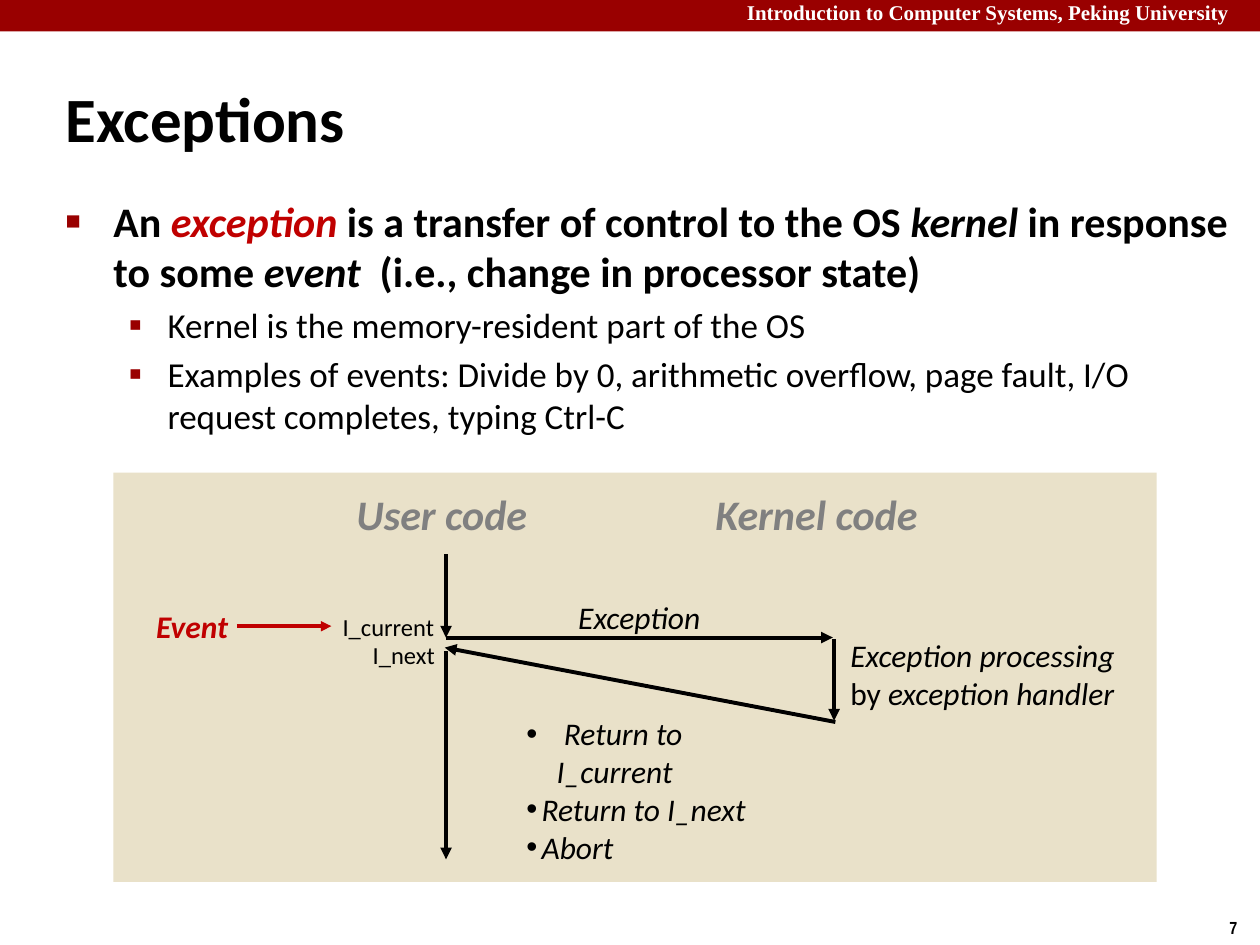
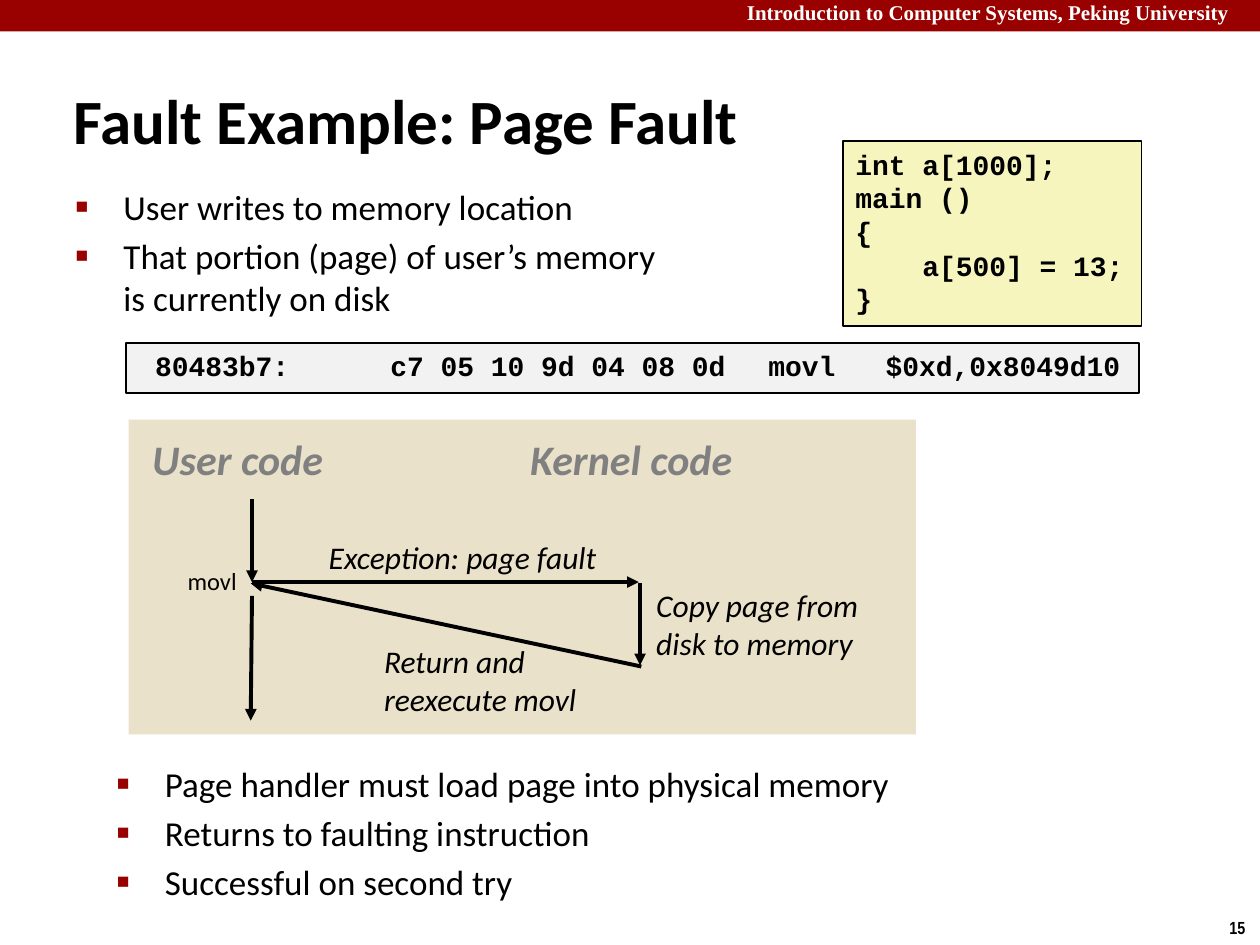
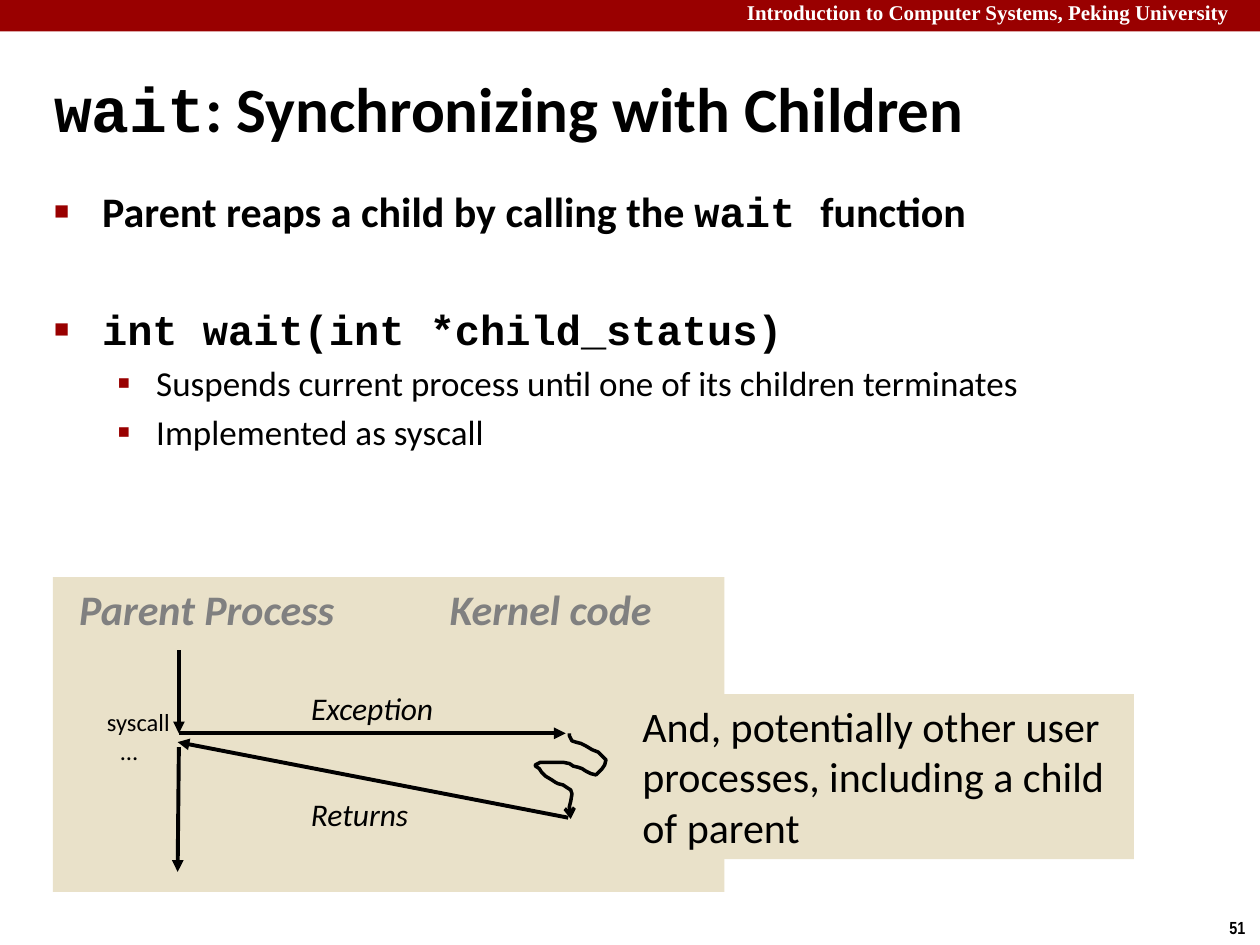
from collections import namedtuple

from lxml.etree import SubElement
from pptx import Presentation
from pptx.dml.color import RGBColor
from pptx.enum.shapes import MSO_CONNECTOR as LINK, MSO_SHAPE as SHAPE
from pptx.enum.text import MSO_ANCHOR as ANCHOR, MSO_AUTO_SIZE as FIT, PP_ALIGN as ALIGN
from pptx.oxml.ns import qn
from pptx.util import Inches, Pt

BLACK = RGBColor(0, 0, 0)
WHITE = RGBColor(255, 255, 255)
MAROON = RGBColor(0x99, 0, 0)
RED = RGBColor(0xC0, 0, 0)
GRAY = RGBColor(0x80, 0x80, 0x80)
SAND = RGBColor(0xE9, 0xE1, 0xC9)
CREAM = RGBColor(0xF6, 0xF5, 0xBD)
PALE = RGBColor(0xF2, 0xF2, 0xF2)

SANS, MONO = "Calibri", "Courier New"
COURSE = "Introduction to Computer Systems, Peking University"
SLANT = {"italic": True}
CODE = {"face": MONO}
HEAD = {"size": 24, "color": GRAY, "bold": True, "italic": True}
NOTE = {"size": 18, "italic": True}
STEP = {"size": 14}
LISTING = {"size": 16, "face": MONO, "bold": True}

Box = namedtuple("Box", "x y w h")
Mark = namedtuple("Mark", "char scale left hang")
MARKS = (Mark("■", 60, 0.38, 0.38), Mark("▪", 110, 0.81, 0.31))


def inches(*values):
    return [Inches(v) for v in values]


def add_runs(para, runs, size=18, color=BLACK, face=SANS, bold=False, italic=False):
    base = {"size": size, "color": color, "face": face, "bold": bold, "italic": italic}
    para.alignment = ALIGN.LEFT
    for item in [runs] if isinstance(runs, str) else runs:
        words, extra = (item, {}) if isinstance(item, str) else item
        look = {**base, **extra}
        for i, part in enumerate(words.split("\n")):
            if i:
                para.add_line_break()
            run = para.add_run()
            run.text = part
            font = run.font
            font.size, font.name = Pt(look["size"]), look["face"]
            font.bold, font.italic = look["bold"], look["italic"]
            font.color.rgb = look["color"]


def fill_text(frame, paras, wrap=True, fit=FIT.SHAPE_TO_FIT_TEXT, **look):
    frame.word_wrap = wrap
    frame.auto_size = fit
    frame.vertical_anchor = ANCHOR.TOP
    for i, runs in enumerate(paras):
        para = frame.add_paragraph() if i else frame.paragraphs[0]
        add_runs(para, runs, **look)


def indent(para, left, hang):
    props = para._p.get_or_add_pPr()
    props.set("marL", str(Inches(left)))
    props.set("indent", str(-Inches(hang)))
    return props


def add_mark(para, mark, color=None):
    props = indent(para, mark.left, mark.hang)
    if color is not None:
        SubElement(SubElement(props, qn("a:buClr")), qn("a:srgbClr")).set("val", str(color))
    SubElement(props, qn("a:buSzPct")).set("val", str(mark.scale * 1000))
    SubElement(props, qn("a:buFont")).set("typeface", "Arial")
    SubElement(props, qn("a:buChar")).set("char", mark.char)


def fill_list(frame, items):
    frame.word_wrap = True
    frame.auto_size = FIT.NONE
    frame.vertical_anchor = ANCHOR.TOP
    for i, (level, size, gap, bold, runs) in enumerate(items):
        para = frame.add_paragraph() if i else frame.paragraphs[0]
        para.level = level
        add_mark(para, MARKS[level], MAROON)
        para.space_before = Pt(gap if i else 0)
        add_runs(para, runs, size=size, bold=bold)


def main_item(runs, gap=4.8):
    return 0, 24, gap, True, runs


def plain_item(runs):
    return 0, 20, 4, False, runs


def sub_item(runs):
    return 1, 20, 4, False, runs


def place(shape, box):
    shape.left, shape.top, shape.width, shape.height = inches(*box)


def add_block(slide, box, fill, line=None):
    shape = slide.shapes.add_shape(SHAPE.RECTANGLE, *inches(*box))
    shape.shadow.inherit = False
    shape.fill.solid()
    shape.fill.fore_color.rgb = fill
    if line is None:
        shape.line.fill.background()
    else:
        shape.line.color.rgb = line
        shape.line.width = Pt(1)
    return shape


def add_label(slide, x, y, w, paras, lines=1, wrap=False, **look):
    height = 0.1 + lines * look["size"] / 59
    label = slide.shapes.add_textbox(*inches(x, y, w, height))
    fill_text(label.text_frame, paras, wrap=wrap, **look)
    return label


def add_tip(line, kind):
    SubElement(line._get_or_add_ln(), qn("a:tailEnd")).set("type", kind)


def add_arrow(slide, x1, y1, x2, y2, color=BLACK, width=2.25):
    link = slide.shapes.add_connector(LINK.STRAIGHT, *inches(x1, y1, x2, y2))
    link.line.color.rgb = color
    link.line.width = Pt(width)
    add_tip(link.line, "triangle")
    SubElement(link._element.spPr, qn("a:effectLst"))


def add_frame(deck, number, title, title_box, middle, items, body_box):
    slide = deck.slides.add_slide(deck.slide_layouts[1])
    add_block(slide, Box(0, 0, 10, 0.25), MAROON)
    add_label(slide, 5.83, -0.05, 4.17, [COURSE], wrap=True,
              size=12, face="Times New Roman", color=WHITE, bold=True)
    add_label(slide, 9.66, 7.23, 0.34, [str(number)],
              size=10, face="Arial Narrow", bold=True)
    head, body = slide.placeholders
    place(head, title_box)
    fill_text(head.text_frame, [title], fit=FIT.NONE, size=36, bold=True)
    indent(head.text_frame.paragraphs[0], 0.13, 0.13)
    if middle:
        head.text_frame.vertical_anchor = ANCHOR.MIDDLE
    place(body, body_box)
    fill_list(body.text_frame, items)
    return slide


def add_flow(slide, box, join, heads, back, rest, lean=0, handler=True):
    add_block(slide, box, SAND)
    for dx, dy, w, words in heads:
        add_label(slide, box.x + dx, box.y + dy, w, [words], **HEAD)
    x, y = box.x + join[0], box.y + join[1]
    steps = [
        (0, -0.66, 0, 0),
        (0, 0, 3.07, 0),
        (3.09, 0.67, -0.01, back),
        (0, 0.11, -lean, rest),
    ]
    if handler:
        steps.append((3.08, 0.01, 3.08, 0.66))
    for x1, y1, x2, y2 in steps:
        add_arrow(slide, x + x1, y + y1, x + x2, y + y2)


def add_notes(slide, box, notes):
    for dx, dy, w, words, look in notes:
        add_label(slide, box.x + dx, box.y + dy, w, [words], **look)


def add_squiggle(slide, box):
    points = [
        (27, 2), (29, 6), (32, 7), (36, 8), (40, 10), (45, 13), (50, 15),
        (53, 18), (56, 21), (55, 25), (53, 28), (50, 31), (48, 33), (44, 32),
        (40, 30), (37, 28), (34, 27), (30, 26), (27, 24), (22, 23), (16, 23),
        (4, 23), (2, 24), (0, 25), (0, 26), (3, 28), (5, 31), (8, 34),
        (13, 37), (16, 39), (18, 40), (22, 41), (25, 43), (28, 45),
        (29, 48), (28, 54), (27, 58), (27, 62), (28, 68),
    ]
    pen = slide.shapes.build_freeform(27, 0, scale=Inches(0.01))
    pen.add_line_segments(points, close=False)
    shape = pen.convert_to_shape(*inches(box.x, box.y))
    shape.shadow.inherit = False
    shape.fill.background()
    shape.line.color.rgb = BLACK
    shape.line.width = Pt(2)
    add_tip(shape.line, "arrow")


def add_returns(slide, x, y):
    label = add_label(slide, x, y, 2.29,
                      [" Return to I_current", "Return to I_next", "Abort"],
                      lines=3, wrap=True, **NOTE)
    for para, left in zip(label.text_frame.paragraphs, (0.24, 0.12, 0.12)):
        add_mark(para, Mark("•", 100, left, left))


def add_code(slide, box, fill, lines, stops=()):
    frame = add_block(slide, box, fill, BLACK).text_frame
    fill_text(frame, lines, wrap=False, **LISTING)
    if stops:
        tabs = SubElement(frame.paragraphs[0]._p.get_or_add_pPr(), qn("a:tabLst"))
        for stop in stops:
            tab = SubElement(tabs, qn("a:tab"))
            tab.set("pos", str(Inches(stop)))
            tab.set("algn", "l")


def build_exceptions(deck):
    items = [
        main_item(["An ", ("exception", {"italic": True, "color": RED}),
                   " is a transfer of control to the OS ", ("kernel", SLANT),
                   " in response to some ", ("event", SLANT),
                   "  (i.e., change in processor state)"]),
        sub_item("Kernel is the memory-resident part of the OS"),
        sub_item("Examples of events: Divide by 0, arithmetic overflow, "
                 "page fault, I/O request completes, typing Ctrl-C"),
    ]
    slide = add_frame(deck, 7, "Exceptions", Box(0.42, 0.58, 3.67, 0.63), False,
                      items, Box(0.42, 1.5, 9.5, 2.08))
    box = Box(0.9, 3.75, 8.28, 3.25)
    heads = [(1.83, 0.08, 1.69, "User code"), (4.68, 0.08, 1.95, "Kernel code")]
    add_flow(slide, box, (2.64, 1.31), heads, back=0.08, rest=1.76)
    add_notes(slide, box, [
        (3.59, 0.95, 1.25, "Exception", NOTE),
        (0.24, 1.02, 0.88, "Event", {**NOTE, "color": RED, "bold": True}),
        (1.72, 1.06, 0.95, "I_current", STEP),
        (1.96, 1.28, 0.71, "I_next", STEP),
    ])
    add_label(slide, box.x + 5.75, box.y + 1.25, 2.35,
              ["Exception processing", [("by ", {"italic": False}), "exception handler"]],
              lines=2, **NOTE)
    add_returns(slide, box.x + 3.18, box.y + 1.87)
    add_arrow(slide, box.x + 0.98, box.y + 1.22, box.x + 1.73, box.y + 1.22, RED, 2)


def build_fault(deck):
    items = [
        plain_item("User writes to memory location"),
        plain_item("That portion (page) of user’s memory \nis currently on disk"),
    ]
    slide = add_frame(deck, 15, "Fault Example: Page Fault", Box(0.48, 0.64, 8.63, 0.61),
                      True, items, Box(0.5, 1.42, 8.92, 1.17))
    add_code(slide, Box(6.69, 1.12, 2.37, 1.47), CREAM,
             ["int a[1000];", "main ()", "{", "    a[500] = 13;", "}"])
    add_code(slide, Box(1, 2.72, 8.04, 0.4), PALE,
             [" 80483b7:\tc7 05 10 9d 04 08 0d \tmovl   $0xd,0x8049d10"], (2, 5))
    box = Box(1.02, 3.33, 6.25, 2.5)
    heads = [(0.09, 0.06, 1.65, "User code"), (3.09, 0.06, 1.91, "Kernel code")]
    add_flow(slide, box, (0.98, 1.29), heads, back=0.01, rest=1.1, lean=0.01)
    pair = {**NOTE, "lines": 2, "wrap": True}
    add_notes(slide, box, [
        (1.49, 0.89, 2.42, "Exception: page fault", NOTE),
        (4.09, 1.27, 2.16, "Copy page from disk to memory", pair),
        (1.93, 1.72, 1.99, "Return and reexecute movl", pair),
        (0.37, 1.11, 0.6, "movl", STEP),
    ])
    after = slide.shapes.add_textbox(*inches(0.83, 6, 8.92, 1.17))
    fill_list(after.text_frame, [
        plain_item("Page handler must load page into physical memory"),
        plain_item("Returns to faulting instruction"),
        plain_item("Successful on second try"),
    ])


def build_wait(deck):
    items = [
        main_item(["Parent reaps a child by calling the ", ("wait ", CODE), "function"]),
        main_item([("int wait(int *child_status)", CODE)], gap=39),
        sub_item("Suspends current process until one of its children terminates"),
        sub_item("Implemented as syscall"),
    ]
    slide = add_frame(deck, 51, [("wait", CODE), ": Synchronizing with Children"],
                      Box(0.33, 0.54, 9.08, 0.63), True, items,
                      Box(0.33, 1.42, 9.03, 2.42))
    box = Box(0.42, 4.58, 5.33, 2.5)
    heads = [(0.11, 0, 2.24, "Parent Process"), (3.05, 0, 1.95, "Kernel code")]
    add_flow(slide, box, (1, 1.24), heads, back=0.07, rest=1.1, lean=0.01, handler=False)
    add_notes(slide, box, [
        (1.95, 0.84, 1.25, "Exception", NOTE),
        (1.95, 1.68, 1, "Returns", NOTE),
        (0.33, 0.98, 0.71, "syscall", STEP),
        (0.44, 1.21, 0.35, "…", STEP),
    ])
    add_squiggle(slide, Box(box.x + 3.83, box.y + 1.24, 0.56, 0.68))
    aside = add_block(slide, Box(5, 5.51, 4, 1.31), SAND)
    fill_text(aside.text_frame,
              ["And, potentially other user processes, including a child of parent"],
              size=24)


def main():
    deck = Presentation()
    deck.slide_width, deck.slide_height = inches(10, 7.5)
    for build in (build_exceptions, build_fault, build_wait):
        build(deck)
    deck.save("out.pptx")


if __name__ == "__main__":
    main()
